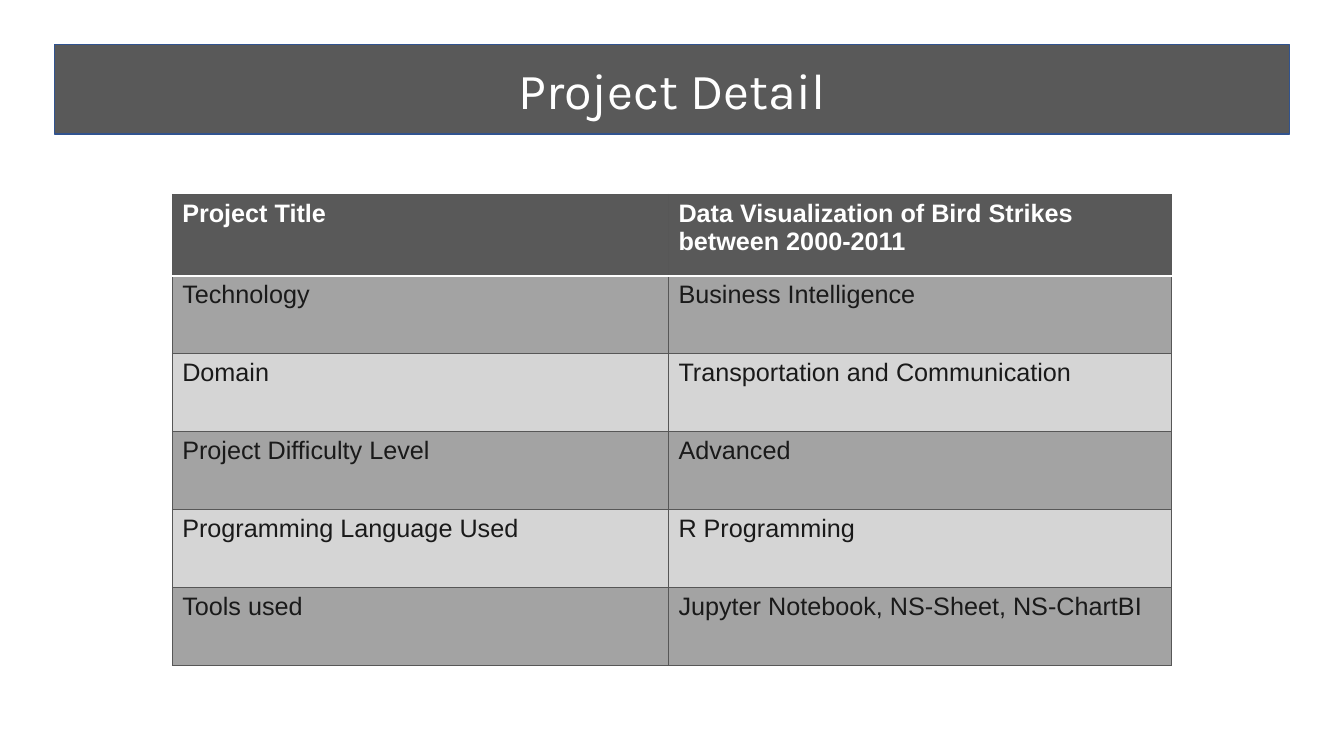
"""Build the project detail slide."""
from lxml import etree
from pptx import Presentation
from pptx.dml.color import RGBColor
from pptx.enum.text import MSO_ANCHOR, MSO_AUTO_SIZE, PP_ALIGN
from pptx.oxml.ns import qn
from pptx.util import Pt

MID = MSO_ANCHOR.MIDDLE
FIXED = MSO_AUTO_SIZE.NONE
CENTER = PP_ALIGN.CENTER
LEFT = PP_ALIGN.LEFT

WHITE = RGBColor(0xFF, 0xFF, 0xFF)
INK = RGBColor(0x1A, 0x1A, 0x1A)
DARK = RGBColor(0x59, 0x59, 0x59)
GRID = RGBColor(0x57, 0x57, 0x57)
BLUE = RGBColor(0x31, 0x53, 0x8F)
BANDS = RGBColor(0xA3, 0xA3, 0xA3), RGBColor(0xD5, 0xD5, 0xD5)

ROWS = [
    ("Project Title", "Data Visualization of Bird Strikes between 2000-2011"),
    ("Technology", "Business Intelligence"),
    ("Domain", "Transportation and Communication"),
    ("Project Difficulty Level", "Advanced"),
    ("Programming Language Used", "R Programming"),
    ("Tools used", "Jupyter Notebook, NS-Sheet, NS-ChartBI"),
]


class Deck:
    """Hold the style and the current slide."""

    def __init__(self):
        self.show = Presentation()
        self.show.slide_width, self.show.slide_height = Pt(960), Pt(540)
        self.slide = self.show.slides.add_slide(self.show.slide_layouts[5])
        self.head_font, self.body_font = "Karla", "Arial"

    def label(self, frame, text, font, size, color, bold=False, align=LEFT):
        """Add one run of text to a frame."""
        frame.word_wrap = True
        frame.margin_left = frame.margin_right = Pt(7.2)
        frame.margin_top = frame.margin_bottom = Pt(3.6)
        para = frame.paragraphs[0]
        para.alignment = align
        run = para.add_run()
        run.text = text
        run.font.name, run.font.size, run.font.bold = font, Pt(size), bold
        run.font.color.rgb = color

    def title(self, text, left, top, width, height):
        """Place the title as a rounded bar."""
        bar = self.slide.shapes.title
        bar.left, bar.top = Pt(left), Pt(top)
        bar.width, bar.height = Pt(width), Pt(height)
        geom = etree.SubElement(bar.element.spPr, qn("a:prstGeom"), prst="roundRect")
        etree.SubElement(geom, qn("a:avLst"))
        bar.fill.solid()
        bar.fill.fore_color.rgb = DARK
        bar.line.color.rgb, bar.line.width = BLUE, Pt(1)
        frame = bar.text_frame
        frame.auto_size, frame.vertical_anchor = FIXED, MID
        self.label(frame, text, self.head_font, 36, WHITE, align=CENTER)

    def edge(self, cell, side, color, width):
        """Draw one border of a cell."""
        props = cell._tc.get_or_add_tcPr()
        line = etree.SubElement(props, qn("a:ln" + side), w=str(Pt(width)))
        fill = etree.SubElement(line, qn("a:solidFill"))
        etree.SubElement(fill, qn("a:srgbClr"), val=str(color))

    def cell(self, cell, text, row):
        """Fill, border and label one cell."""
        rule = {0: "B", 1: "T"}.get(row)
        for side in "LRTB":
            color, width = (WHITE, 2) if side == rule else (GRID, 0.75)
            self.edge(cell, side, color, width)
        head = row == 0
        cell.fill.solid()
        cell.fill.fore_color.rgb = DARK if head else BANDS[(row - 1) % 2]
        self.label(cell.text_frame, text, self.body_font, 18,
                   WHITE if head else INK, head)

    def table(self, rows, left, top, widths, first, rest):
        """Add a table with a header row and banded rows."""
        high = first + rest * (len(rows) - 1)
        grid = self.slide.shapes.add_table(
            len(rows), len(widths), Pt(left), Pt(top), Pt(sum(widths)), Pt(high)).table
        grid.horz_banding = False
        for col, width in zip(grid.columns, widths):
            col.width = Pt(width)
        for num, texts in enumerate(rows):
            grid.rows[num].height = Pt(rest if num else first)
            for col, text in enumerate(texts):
                self.cell(grid.cell(num, col), text, num)


def main():
    """Build and save the deck."""
    deck = Deck()
    deck.title("Project Detail", 39, 31.7, 882, 64)
    deck.table(ROWS, 123, 138.8, (354.5, 359.5), 58.2, 55.7)
    deck.show.save("out.pptx")


if __name__ == "__main__":
    main()
